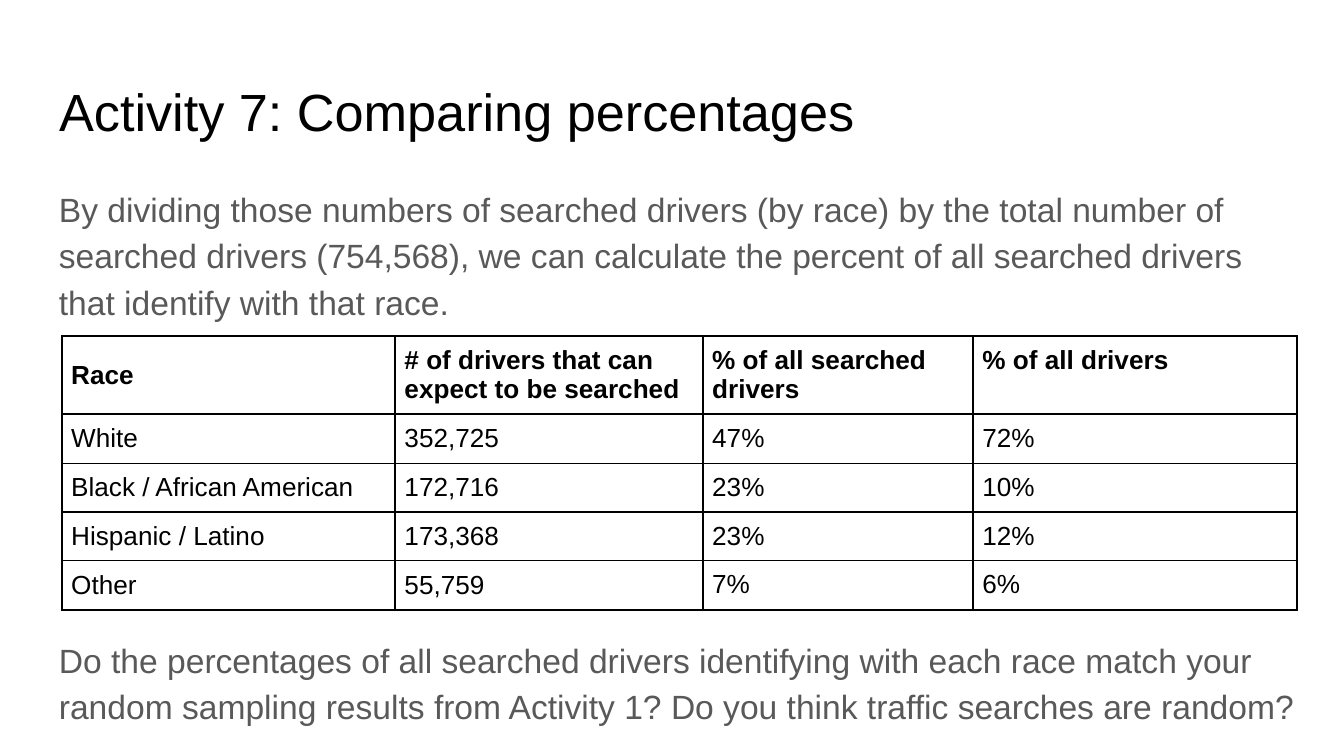
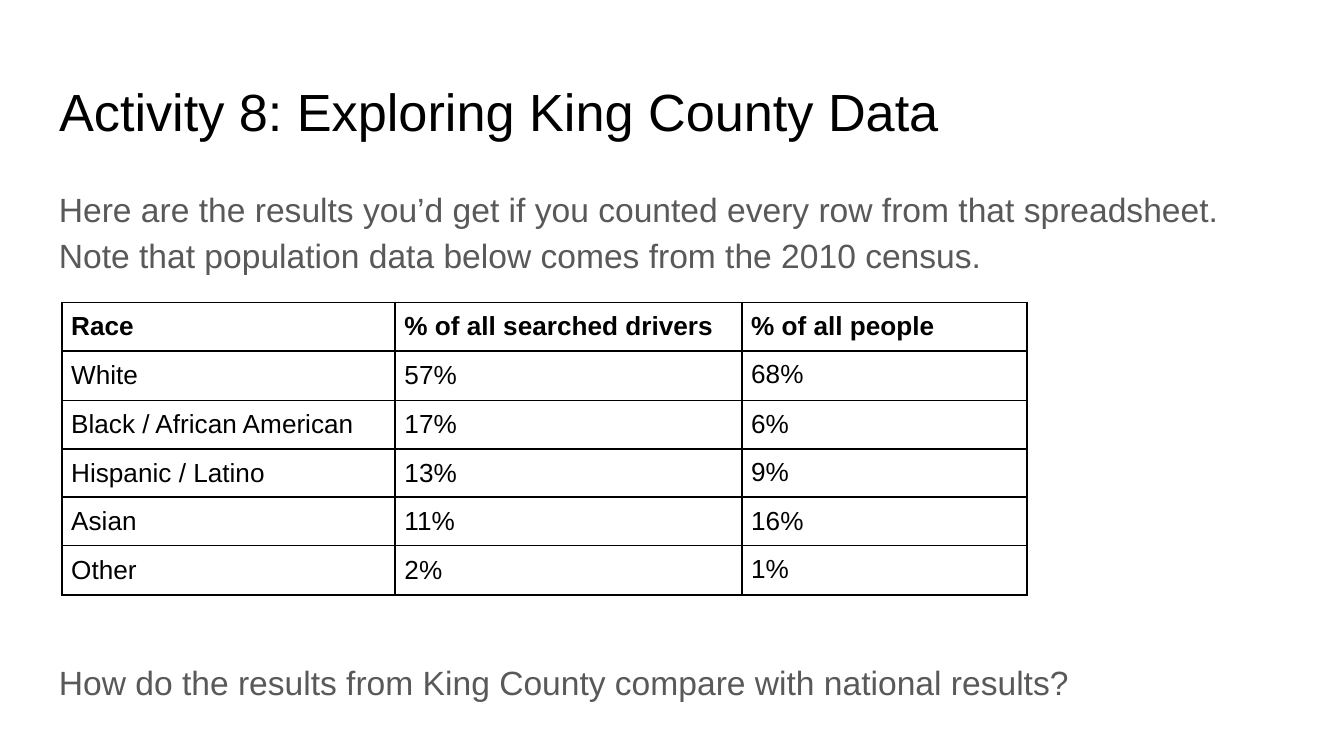
from lxml import etree
from pptx import Presentation
from pptx.dml.color import RGBColor
from pptx.enum.text import MSO_ANCHOR, MSO_AUTO_SIZE, PP_ALIGN
from pptx.oxml.ns import qn
from pptx.util import Inches, Pt

TOP, MIDDLE = MSO_ANCHOR.TOP, MSO_ANCHOR.MIDDLE
LEFT = PP_ALIGN.LEFT
NO_AUTOFIT = MSO_AUTO_SIZE.NONE

FONT = "Arial"
COLOURS = {"background": "FFFFFF", "ink": "000000", "body": "595959"}
TITLE_ONLY = 5
SLIDE_WIDTH = Inches(10)
SLIDE_HEIGHT = SLIDE_WIDTH * 9 // 16
TEXT_INSET, CELL_INSET = Inches(0.1), Inches(0.07)
TITLE_BOX = (0.34, 0.49, 9.32, 0.63)
ROW_HEIGHT, EDGE_ROW_HEIGHT = 0.36, 0.37
MIDDLE_COLUMNS = 2  # the first columns are centred vertically, the others sit at the top

ACTIVITIES = [
    {
        "title": "Activity 7: Comparing percentages",
        "intro": "By dividing those numbers of searched drivers (by race) by the total "
                 "number of searched drivers (754,568), we can calculate the percent of "
                 "all searched drivers that identify with that race.",
        "question": "Do the percentages of all searched drivers identifying with each race "
                    "match your random sampling results from Activity 1? Do you think "
                    "traffic searches are random?",
        "body_box": (0.34, 1.26, 9.47, 3.74),
        "question_gap": 167,
        "table_corner": (0.46, 2.5),
        "columns": [2.48, 2.29, 2.01, 2.41],
        "header_height": 0.58,
        "rows": [
            ["Race", "# of drivers that can expect to be searched",
             "% of all searched drivers", "% of all drivers"],
            ["White", "352,725", "47%", "72%"],
            ["Black / African American", "172,716", "23%", "10%"],
            ["Hispanic / Latino", "173,368", "23%", "12%"],
            ["Other", "55,759", "7%", "6%"],
        ],
    },
    {
        "title": "Activity 8: Exploring King County Data",
        "intro": "Here are the results you’d get if you counted every row from that "
                 "spreadsheet. Note that population data below comes from the 2010 census.",
        "question": "How do the results from King County compare with national results?",
        "body_box": (0.34, 1.26, 9.03, 0.63),
        "question_gap": 204,
        "table_corner": (0.46, 2.25),
        "columns": [2.48, 2.58, 2.12],
        "header_height": ROW_HEIGHT,
        "rows": [
            ["Race", "% of all searched drivers", "% of all people"],
            ["White", "57%", "68%"],
            ["Black / African American", "17%", "6%"],
            ["Hispanic / Latino", "13%", "9%"],
            ["Asian", "11%", "16%"],
            ["Other", "2%", "1%"],
        ],
    },
]


def write_text(paragraph, text, size, colour="ink", bold=False, line_spacing=1.0, before=0):
    """Put formatted text in a paragraph."""
    paragraph.alignment = LEFT
    paragraph.line_spacing = line_spacing
    paragraph.space_before = Pt(before)
    run = paragraph.add_run()
    run.text = text
    run.font.name = FONT
    run.font.size = Pt(size)
    run.font.bold = bold
    run.font.color.rgb = RGBColor.from_string(COLOURS[colour])


def set_margins(target, inset):
    """Give a text frame or a cell the same inset on all sides."""
    target.margin_left = target.margin_right = inset
    target.margin_top = target.margin_bottom = inset


def prepare_frame(shape):
    """Set wrapping, anchor and insets of a text shape and return its frame."""
    frame = shape.text_frame
    frame.word_wrap = True
    frame.auto_size = NO_AUTOFIT
    frame.vertical_anchor = TOP
    set_margins(frame, TEXT_INSET)
    return frame


def add_title(slide, text, box):
    """Place the title placeholder in the box."""
    title = slide.shapes.title
    title.left, title.top, title.width, title.height = map(Inches, box)
    write_text(prepare_frame(title).paragraphs[0], text, size=28)


def add_body(slide, intro, question, gap, box):
    """Add the intro and, below room left for the table, the question."""
    frame = prepare_frame(slide.shapes.add_textbox(*map(Inches, box)))
    body_format = {"size": 18, "colour": "body", "line_spacing": 1.15}
    write_text(frame.paragraphs[0], intro, **body_format)
    write_text(frame.add_paragraph(), question, before=gap, **body_format)


def add_borders(cell):
    """Draw a thin line on each side of a cell."""
    properties = cell._tc.get_or_add_tcPr()
    for index, side in enumerate(("a:lnL", "a:lnR", "a:lnT", "a:lnB")):
        line = etree.Element(qn(side), w=str(Pt(1)))
        fill = etree.SubElement(line, qn("a:solidFill"))
        etree.SubElement(fill, qn("a:srgbClr"), val=COLOURS["ink"])
        properties.insert(index, line)


def add_data_table(slide, rows, columns, header_height, corner):
    """Add a ruled table with a bold header row at the corner."""
    heights = [ROW_HEIGHT] * len(rows)
    heights[0] = header_height
    heights[1] = heights[-1] = EDGE_ROW_HEIGHT
    box = (*corner, sum(columns), sum(heights))
    table = slide.shapes.add_table(len(rows), len(columns), *map(Inches, box)).table
    table.first_row = table.horz_banding = False
    for column, width in zip(table.columns, columns):
        column.width = Inches(width)
    for row_index, values in enumerate(rows):
        table.rows[row_index].height = Inches(heights[row_index])
        for column_index, value in enumerate(values):
            cell = table.cell(row_index, column_index)
            cell.fill.background()
            cell.vertical_anchor = MIDDLE if column_index < MIDDLE_COLUMNS else TOP
            set_margins(cell, CELL_INSET)
            add_borders(cell)
            write_text(cell.text_frame.paragraphs[0], value, size=14, bold=row_index == 0)


def add_activity_slide(presentation, activity):
    """Add one slide with title, intro, table and question."""
    slide = presentation.slides.add_slide(presentation.slide_layouts[TITLE_ONLY])
    slide.background.fill.solid()
    slide.background.fill.fore_color.rgb = RGBColor.from_string(COLOURS["background"])
    add_title(slide, activity["title"], TITLE_BOX)
    add_body(slide, activity["intro"], activity["question"],
             activity["question_gap"], activity["body_box"])
    add_data_table(slide, activity["rows"], activity["columns"],
                   activity["header_height"], activity["table_corner"])


presentation = Presentation()
presentation.slide_width = SLIDE_WIDTH
presentation.slide_height = SLIDE_HEIGHT
for activity in ACTIVITIES:
    add_activity_slide(presentation, activity)
presentation.save("out.pptx")
